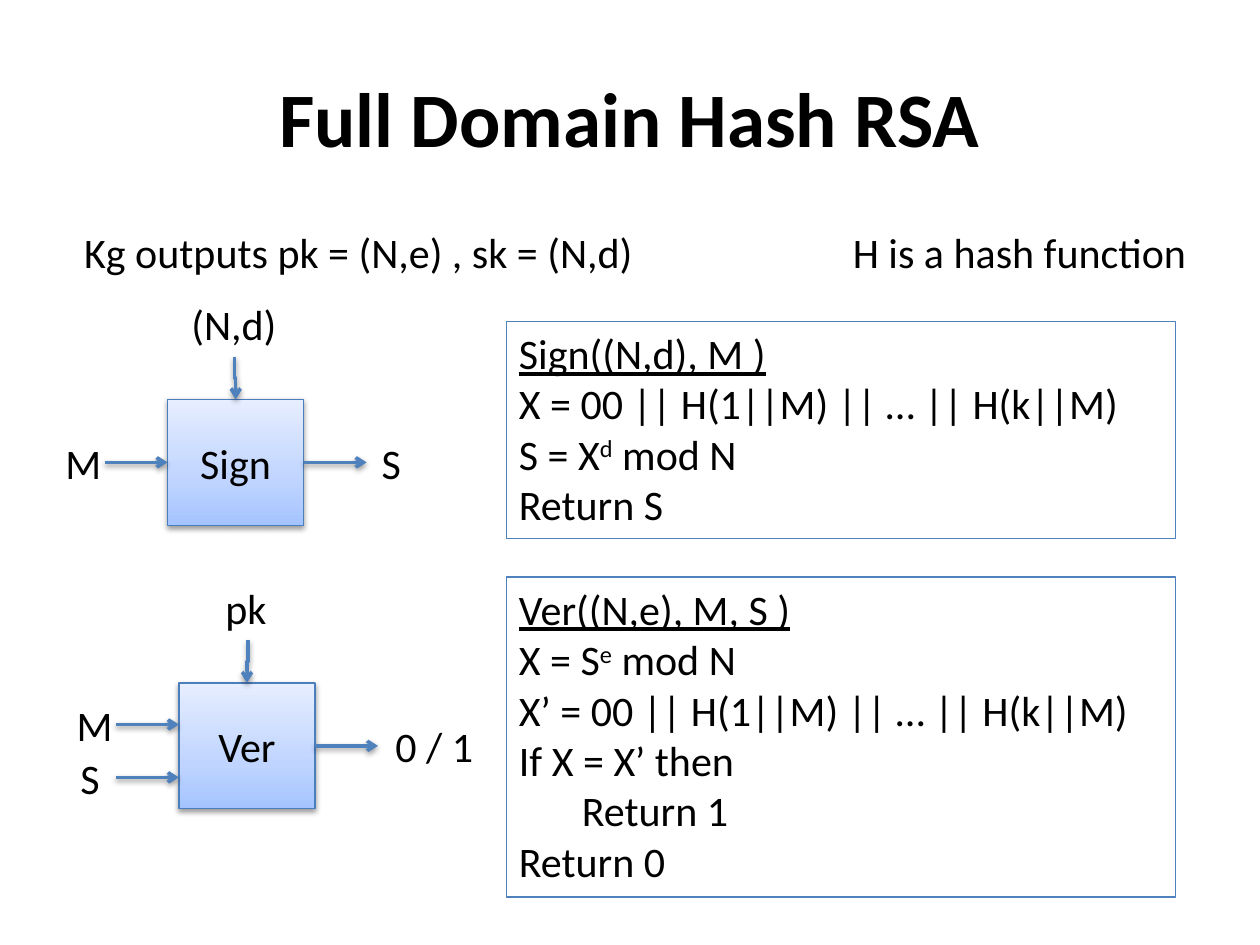
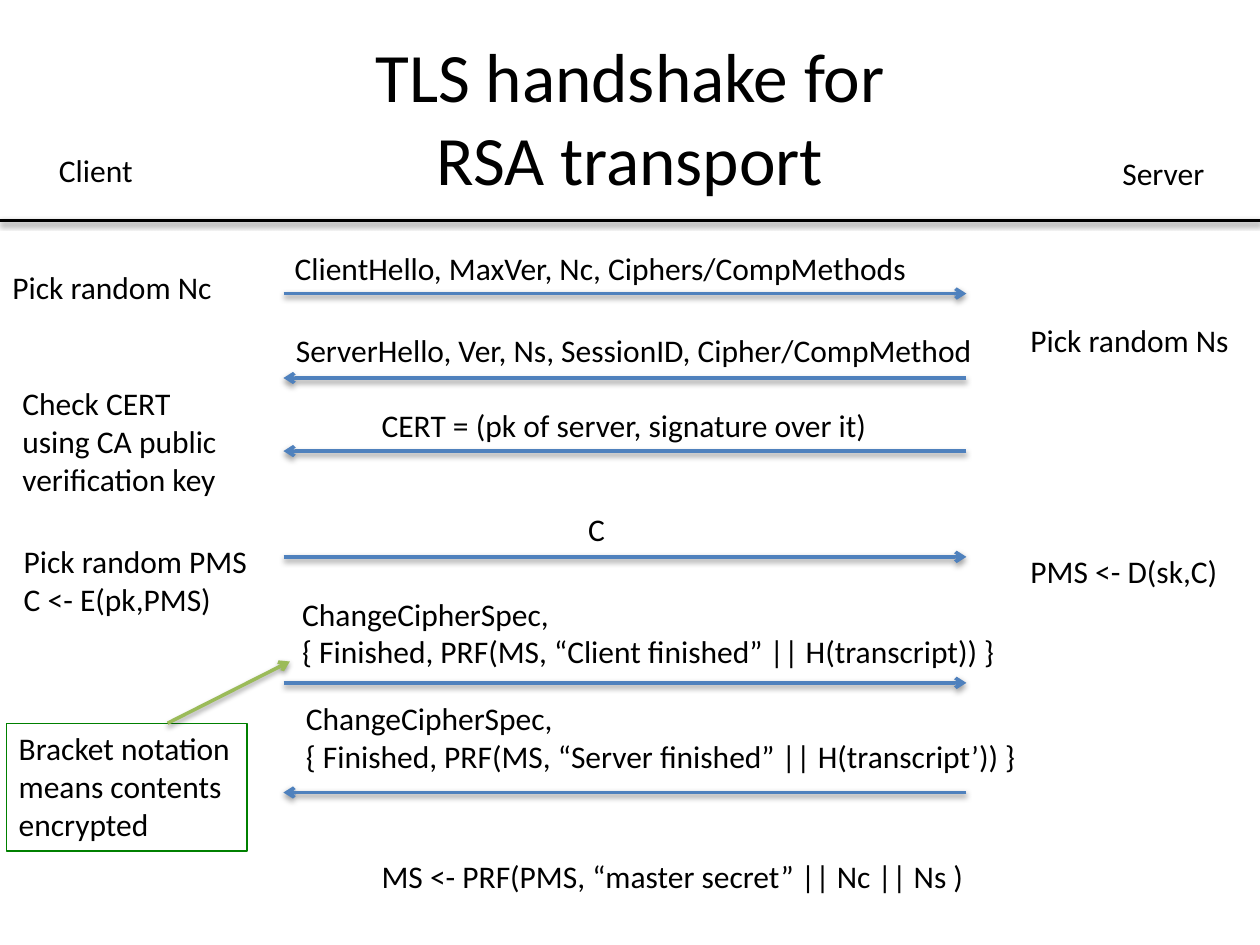
from dataclasses import dataclass

from lxml import etree
from pptx import Presentation
from pptx.dml.color import RGBColor
from pptx.enum.shapes import MSO_CONNECTOR, MSO_SHAPE
from pptx.enum.text import MSO_ANCHOR, MSO_AUTO_SIZE, PP_ALIGN
from pptx.oxml import parse_xml
from pptx.oxml.ns import nsdecls, qn
from pptx.util import Inches, Pt

STRAIGHT, ELBOW = MSO_CONNECTOR.STRAIGHT, MSO_CONNECTOR.ELBOW
RECTANGLE = MSO_SHAPE.RECTANGLE
MIDDLE, CENTER = MSO_ANCHOR.MIDDLE, PP_ALIGN.CENTER
FIT_SHAPE, NO_FIT = MSO_AUTO_SIZE.SHAPE_TO_FIT_TEXT, MSO_AUTO_SIZE.NONE


@dataclass(frozen=True)
class Theme:
    font: str = "Calibri"
    ink: str = "000000"
    arrow: str = "4F81BD"
    block_edge: str = "4B7EBC"
    note_edge: str = "008000"
    note_arrow: str = "9BBB59"
    block_fill: tuple = ((0, "A4C4FF"), (35, "BFD4FF"), (100, "E6EEFF"))
    title: float = 44
    long_title: float = 39.6
    scheme_text: float = 24
    protocol_text: float = 18
    arrow_width: float = 2
    edge_width: float = 0.75


THEME = Theme()
COLUMNS, ROWS = 10, 7.5

HASH_TITLE = "Full Domain Hash RSA"
SETUP = [
    ("Kg outputs pk = (N,e) , sk = (N,d)", 0.57, 1.75, 4.6),
    ("H is a hash function", 6.67, 1.75, 2.87),
]
BLOCK_WIDTH, BLOCK_HEIGHT, ARROW_LENGTH = 1.08, 1, 0.5
MACHINES = [
    {"name": "Sign", "left": 1.33, "top": 3.17,
     "key": ("(N,d)", 1.42, 0.88), "key_arrow_x": 1.86,
     "inputs": [("M", 0.42, 0.49, 0.5)], "output": ("S", 2.93, 0.36)},
    {"name": "Ver", "left": 1.42, "top": 5.42,
     "key": ("pk", 1.69, 0.54), "key_arrow_x": 1.97,
     "inputs": [("M", 0.51, 0.49, 0.33), ("S", 0.54, 0.36, 0.75)],
     "output": ("0 / 1", 3.04, 0.83)},
]
CODE_LEFT, CODE_WIDTH, CODE_INDENT = 4.02, 5.31, 0.5
ALGORITHMS = [
    (2.55, ["Sign((N,d), M )", "X = 00 || H(1||M) || … || H(k||M)",
            ("S = X", "d", " mod N"), "Return S"], None),
    (4.58, ["Ver((N,e), M, S )", ("X = S", "e", " mod N"),
            "X’ = 00 || H(1||M) || … || H(k||M)", "If X = X’ then",
            "Return 1", "Return 0"], 4),
]

TLS_TITLE = "TLS handshake for\vRSA transport"
RULE_Y = 1.75
LANE_LEFT, LANE_RIGHT = 2.25, 7.67
TO_SERVER, TO_CLIENT = (LANE_LEFT, LANE_RIGHT), (LANE_RIGHT, LANE_LEFT)
MESSAGES = [
    (["ClientHello, MaxVer, Nc, Ciphers/CompMethods"],
     2.24, 1.93, 5.21, 2.33, TO_SERVER),
    (["ServerHello, Ver, Ns, SessionID, Cipher/CompMethod"],
     2.25, 2.58, 5.69, 3, TO_CLIENT),
    (["CERT = (pk of server, signature over it)"],
     2.93, 3.17, 4.12, 3.58, TO_CLIENT),
    (["C"], 4.57, 4, 0.34, 4.42, TO_SERVER),
    (["ChangeCipherSpec,",
      "{ Finished, PRF(MS, “Client finished” || H(transcript)) }"],
     2.3, 4.67, 5.77, 5.42, TO_SERVER),
    (["ChangeCipherSpec,",
      "{ Finished, PRF(MS, “Server finished” || H(transcript’)) }"],
     2.33, 5.5, 5.84, 6.29, TO_CLIENT),
]
PARTY_STEPS = [
    (["Client"], 0.37, 1.15, 0.8),
    (["Server"], 8.81, 1.17, 0.86),
    (["Pick random Nc"], 0, 2.08, 1.8),
    (["Pick random Ns"], 8.08, 2.5, 1.8),
    (["Check CERT", "using CA public", "verification key"], 0.08, 3, 1.76),
    (["Pick random PMS", "C <- E(pk,PMS)"], 0.09, 4.25, 2),
    (["PMS <- D(sk,C)"], 8.08, 4.33, 1.7),
    (["MS <- PRF(PMS, “master secret” || Nc || Ns )"], 2.93, 6.75, 4.87),
]
NOTE = (["Bracket notation", "means contents", "encrypted"], 0.05, 5.74, 1.91)
NOTE_ARROW = (1.33, 5.74, 2.3, 5.25)


def style_font(font, size):
    font.name, font.size = THEME.font, Pt(size)
    font.color.rgb = RGBColor.from_string(THEME.ink)


def style_line(line, color, width):
    line.color.rgb = RGBColor.from_string(color)
    line.width = Pt(width)


def cast_shadow(part):
    part.element.spPr.append(parse_xml(
        f'<a:effectLst {nsdecls("a")}><a:outerShdw blurRad="40000" dist="20000" '
        'dir="5400000" rotWithShape="0"><a:srgbClr val="000000">'
        '<a:alpha val="38000"/></a:srgbClr></a:outerShdw></a:effectLst>'))


def add_titled_slide(deck, title, size, bold=False):
    slide = deck.slides.add_slide(deck.slide_layouts[5])
    heading = slide.shapes.title
    heading.left, heading.top = Inches(0.5), Inches(0.3)
    heading.width, heading.height = Inches(COLUMNS - 1), Inches(1.25)
    frame = heading.text_frame
    frame.text, frame.auto_size = title, NO_FIT
    frame.vertical_anchor = MIDDLE
    frame.paragraphs[0].alignment = CENTER
    style_font(frame.paragraphs[0].font, size)
    frame.paragraphs[0].font.bold = bold
    return slide


def add_text(slide, lines, left, top, width, size, edge=None, wrap=False):
    height = 0.1 + len(lines) * size * 1.22 / 72
    box = slide.shapes.add_textbox(*map(Inches, (left, top, width, height)))
    frame = box.text_frame
    frame.word_wrap, frame.auto_size = wrap, FIT_SHAPE
    for number, line in enumerate(lines):
        paragraph = frame.add_paragraph() if number else frame.paragraphs[0]
        style_font(paragraph.font, size)
        for position, part in enumerate((line,) if isinstance(line, str) else line):
            run = paragraph.add_run()
            run.text = part
            if position % 2:
                run.font.size = Pt(size)
                run.font.fill.solid()
                run.font.color.rgb = RGBColor.from_string(THEME.ink)
                run._r.get_or_add_rPr().set("baseline", "30000")
    if edge:
        style_line(box.line, edge, THEME.edge_width)
    return frame


def finish_connector(connector, color, head=True):
    style_line(connector.line, color, THEME.arrow_width)
    if head:
        etree.SubElement(connector.element.spPr.find(qn("a:ln")),
                         qn("a:tailEnd"), type="arrow")
    cast_shadow(connector)


def add_line(slide, x1, y1, x2, y2, color=THEME.arrow, head=True):
    connector = slide.shapes.add_connector(
        STRAIGHT, *map(Inches, (x1, y1, x2, y2)))
    finish_connector(connector, color, head)


def add_down_elbow(slide, x1, y1, x2, y2):
    middle_x, middle_y = (x1 + x2) / 2, (y1 + y2) / 2
    rightward = x2 > x1
    reach = (y2 - y1) / 2 * (1 if rightward else -1)
    drift = abs(x2 - x1) / 2
    connector = slide.shapes.add_connector(ELBOW, *map(Inches, (
        middle_x + reach, middle_y - drift, middle_x - reach, middle_y + drift)))
    turn = 270 if rightward else 90
    connector.element.spPr.find(qn("a:xfrm")).set("rot", str(turn * 60000))
    finish_connector(connector, THEME.arrow)


def add_block(slide, name, left, top):
    block = slide.shapes.add_shape(
        RECTANGLE, *map(Inches, (left, top, BLOCK_WIDTH, BLOCK_HEIGHT)))
    block.fill.gradient()
    block.fill.gradient_angle = 90
    stops = block.element.spPr.find(".//" + qn("a:gsLst"))
    stops.clear()
    for percent, color in THEME.block_fill:
        stop = etree.SubElement(stops, qn("a:gs"), pos=str(percent * 1000))
        etree.SubElement(stop, qn("a:srgbClr"), val=color)
    style_line(block.line, THEME.block_edge, THEME.edge_width)
    cast_shadow(block)
    frame = block.text_frame
    frame.text, frame.vertical_anchor = name, MIDDLE
    frame.paragraphs[0].alignment = CENTER
    style_font(frame.paragraphs[0].font, THEME.scheme_text)


def add_machine(slide, machine):
    left, top = machine["left"], machine["top"]
    right, center_y = left + BLOCK_WIDTH, top + BLOCK_HEIGHT / 2
    add_block(slide, machine["name"], left, top)
    labels = [(*machine["key"], top - 0.85),
              (*machine["output"], center_y - 0.25)]
    add_down_elbow(slide, machine["key_arrow_x"], top - 0.34,
                   left + BLOCK_WIDTH / 2, top)
    add_line(slide, right, center_y, right + ARROW_LENGTH, center_y)
    for name, label_left, width, share in machine["inputs"]:
        y = top + share * BLOCK_HEIGHT
        add_line(slide, left - ARROW_LENGTH, y, left, y)
        labels.append((name, label_left, width, y - 0.25))
    for name, label_left, width, label_top in labels:
        add_text(slide, [name], label_left, label_top, width, THEME.scheme_text)


def build_hash_slide(deck):
    slide = add_titled_slide(deck, HASH_TITLE, THEME.title, bold=True)
    for statement, left, top, width in SETUP:
        add_text(slide, [statement], left, top, width, THEME.scheme_text)
    for machine in MACHINES:
        add_machine(slide, machine)
    for top, steps, indented in ALGORITHMS:
        code = add_text(slide, steps, CODE_LEFT, top, CODE_WIDTH,
                        THEME.scheme_text, THEME.arrow, wrap=True)
        code.paragraphs[0].font.underline = True
        code.paragraphs[0].runs[0].font.underline = True
        if indented:
            properties = code.paragraphs[indented]._p.get_or_add_pPr()
            properties.set("marL", str(Inches(CODE_INDENT)))
            properties.set("indent", "0")


def build_handshake_slide(deck):
    slide = add_titled_slide(deck, TLS_TITLE, THEME.long_title)
    add_line(slide, 0, RULE_Y, COLUMNS, RULE_Y, THEME.ink, head=False)
    for lines, left, top, width, arrow_y, (start, end) in MESSAGES:
        add_line(slide, start, arrow_y, end, arrow_y)
        add_text(slide, lines, left, top, width, THEME.protocol_text)
    for step in PARTY_STEPS:
        add_text(slide, *step, THEME.protocol_text)
    add_text(slide, *NOTE, THEME.protocol_text, THEME.note_edge)
    add_line(slide, *NOTE_ARROW, THEME.note_arrow)


def main():
    deck = Presentation()
    deck.slide_width, deck.slide_height = Inches(COLUMNS), Inches(ROWS)
    build_hash_slide(deck)
    build_handshake_slide(deck)
    deck.save("out.pptx")


if __name__ == "__main__":
    main()
